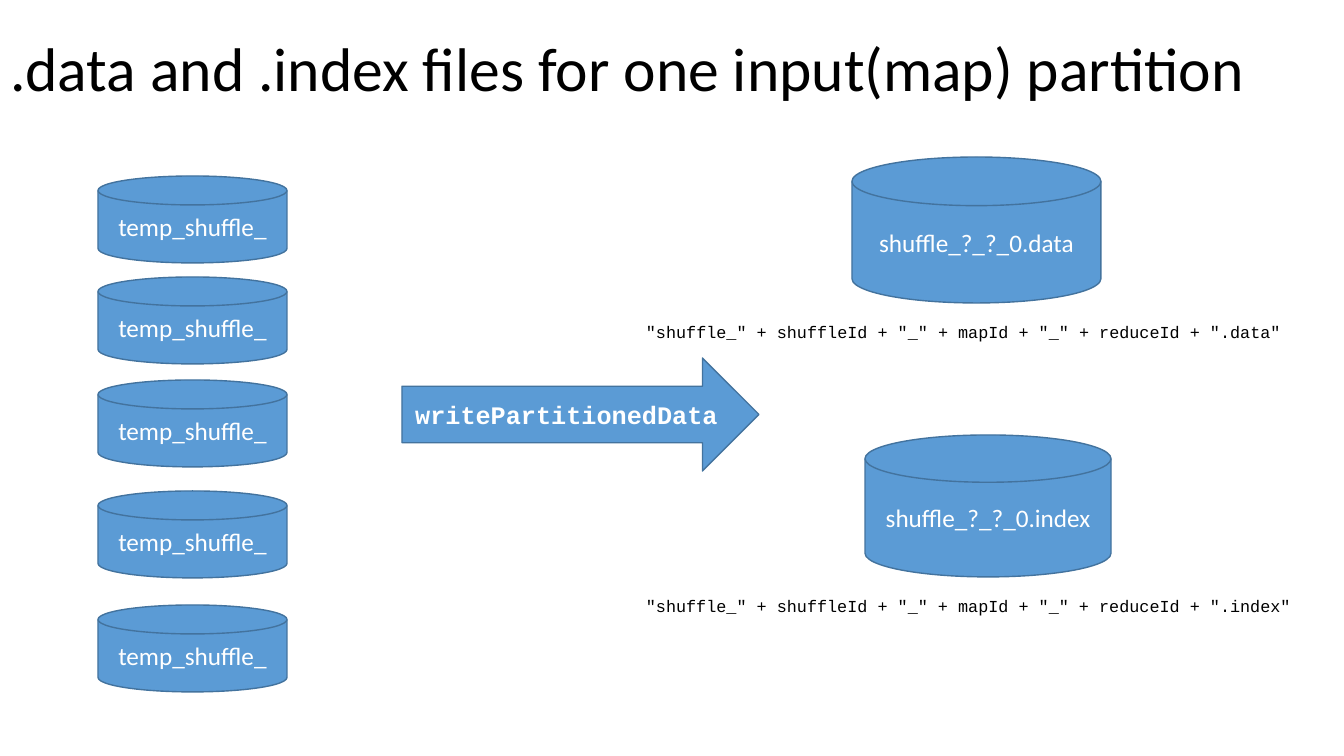
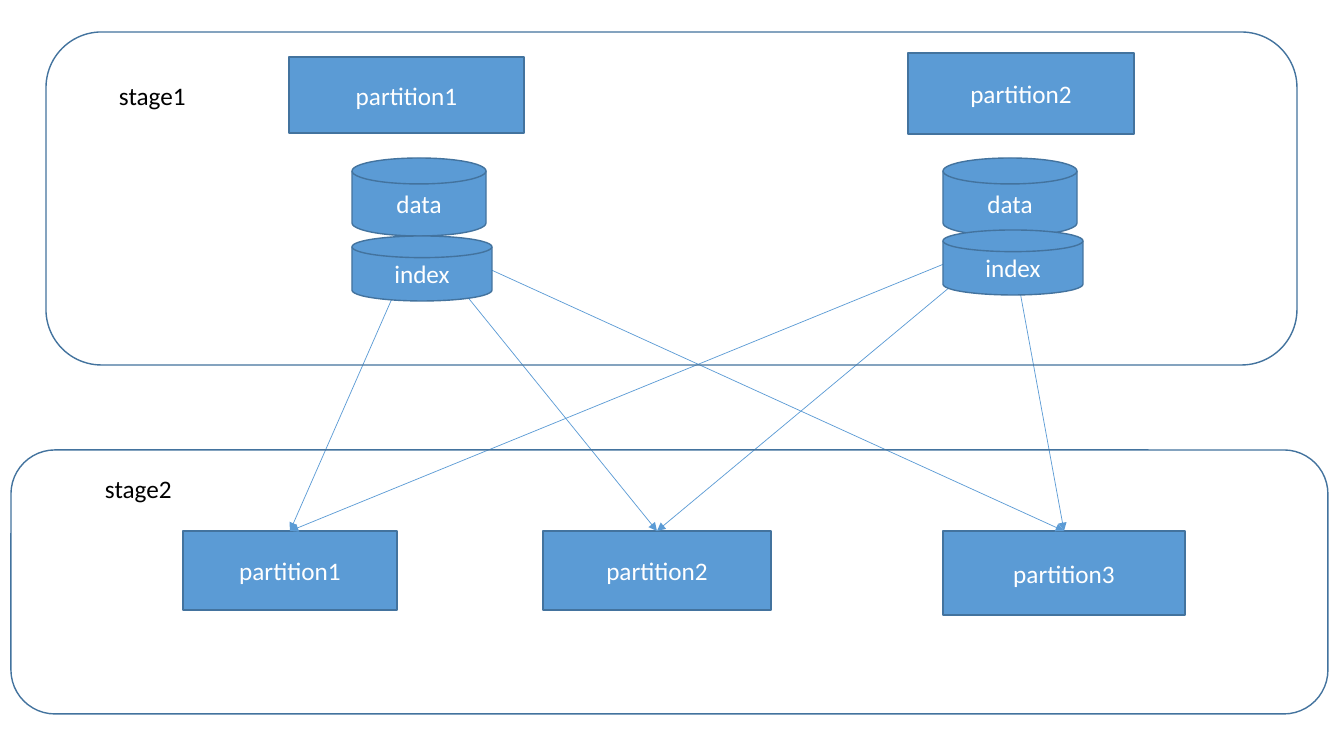
from dataclasses import dataclass
from typing import Optional

from lxml import etree
from pptx import Presentation
from pptx import util as u
from pptx.dml.color import RGBColor
from pptx.enum import shapes, text
from pptx.oxml.ns import qn

# Shared scale, colours and formats
EMU_PER_PIXEL = 914400 / 100.8
BLUE, EDGE, WHITE, BLACK = "5B9BD5", "43739E", "FFFFFF", "000000"
BODY, CODE = "Calibri", "Courier New"
TITLE_FONT = {"name": BODY, "size": u.Pt(44), "bold": False}
LABEL_FONT = {"name": BODY, "size": u.Pt(18)}
CALL_FONT = {"name": CODE, "size": u.Pt(18), "bold": True}
CODE_FONT = {"name": CODE, "size": u.Pt(12)}

Kind = shapes.MSO_SHAPE
DISK = Kind.FLOWCHART_MAGNETIC_DISK


@dataclass
class Node:
    kind: Kind
    left: int
    top: int
    width: int
    height: int
    label: str = ""
    fill: Optional[str] = BLUE


@dataclass
class Caption:
    left: int
    top: int
    width: int
    height: int
    words: str
    wrap: bool = True


@dataclass
class Arrow:
    start: tuple[int, int]
    end: tuple[int, int]


def px(pixels: int) -> u.Emu:
    return u.Emu(round(pixels * EMU_PER_PIXEL))


def colour(value: str) -> RGBColor:
    return RGBColor.from_string(value)


def apply(target, values: dict) -> None:
    for name, value in values.items():
        setattr(target, name, value)


def write(shape, words: str, font: dict, ink: str, align, anchor, wrap=True) -> None:
    frame = shape.text_frame
    apply(frame, {"word_wrap": wrap, "vertical_anchor": anchor})
    paragraph = frame.paragraphs[0]
    paragraph.alignment = align
    run = paragraph.add_run()
    run.text = words
    apply(run.font, font)
    run.font.color.rgb = colour(ink)


def draw_title(slide, words: str) -> None:
    title = slide.shapes.title
    apply(title, {"left": px(0), "top": px(-1), "width": px(1344), "height": px(146)})
    write(title, words, TITLE_FONT, BLACK, text.PP_ALIGN.LEFT, text.MSO_ANCHOR.MIDDLE)
    title.text_frame.auto_size = text.MSO_AUTO_SIZE.NONE
    title.text_frame.paragraphs[0].line_spacing = 0.9


def draw_node(slide, node: Node, font: dict = LABEL_FONT) -> None:
    box = map(px, (node.left, node.top, node.width, node.height))
    shape = slide.shapes.add_shape(node.kind, *box)
    shape.shadow.inherit = False
    if node.fill:
        shape.fill.solid()
        shape.fill.fore_color.rgb = colour(node.fill)
    else:
        shape.fill.background()
    shape.line.color.rgb = colour(EDGE)
    shape.line.width = u.Pt(1)
    if node.label:
        write(shape, node.label, font, WHITE,
              text.PP_ALIGN.CENTER, text.MSO_ANCHOR.MIDDLE)


def draw_caption(slide, caption: Caption, font: dict, anchor) -> None:
    box = map(px, (caption.left, caption.top, caption.width, caption.height))
    shape = slide.shapes.add_textbox(*box)
    write(shape, caption.words, font, BLACK, text.PP_ALIGN.LEFT, anchor, caption.wrap)


def draw_arrow(slide, arrow: Arrow) -> None:
    ends = map(px, (*arrow.start, *arrow.end))
    connector = slide.shapes.add_connector(shapes.MSO_CONNECTOR.STRAIGHT, *ends)
    connector.line.color.rgb = colour(BLUE)
    connector.line.width = u.Pt(0.5)
    line = connector.line._get_or_add_ln()
    etree.SubElement(line, qn("a:tailEnd"), type="triangle")
    etree.SubElement(connector._element.spPr, qn("a:effectLst"))


def build_files_slide(presentation) -> None:
    slide = presentation.slides.add_slide(presentation.slide_layouts[5])
    draw_title(slide, ".data and .index files for one input(map) partition")

    # Temporary files on the left, merged files on the right
    for top in (176, 277, 380, 491, 605):
        draw_node(slide, Node(DISK, 98, top, 189, 87, "temp_shuffle_"))
    draw_node(slide, Node(DISK, 852, 157, 249, 146, "shuffle_?_?_0.data"))
    draw_node(slide, Node(DISK, 865, 435, 246, 142, "shuffle_?_?_0.index"))
    draw_node(slide, Node(Kind.RIGHT_ARROW, 402, 358, 357, 113,
                          "writePartitionedData"), CALL_FONT)

    # File name patterns
    for top, width, suffix in ((316, 667, ".data"), (590, 694, ".index")):
        pattern = f'"shuffle_" + shuffleId + "_" + mapId + "_" + reduceId + "{suffix}"'
        draw_caption(slide, Caption(636, top, width, 31, pattern),
                     CODE_FONT, text.MSO_ANCHOR.MIDDLE)


def build_stages_slide(presentation) -> None:
    slide = presentation.slides.add_slide(presentation.slide_layouts[6])

    # Partitions of both stages
    inputs = [
        Node(Kind.RECTANGLE, 289, 57, 235, 76, "partition1"),
        Node(Kind.RECTANGLE, 908, 53, 226, 81, "partition2"),
    ]
    outputs = [
        Node(Kind.RECTANGLE, 183, 531, 214, 79, "partition1"),
        Node(Kind.RECTANGLE, 543, 531, 228, 79, "partition2"),
        Node(Kind.RECTANGLE, 943, 531, 242, 84, "partition3"),
    ]
    for node in inputs + outputs:
        draw_node(slide, node)

    # Every input feeds the top centre of every output
    for output in outputs:
        for source in ((419, 237), (1010, 237)):
            target = (output.left + output.width // 2, output.top)
            draw_arrow(slide, Arrow(source, target))

    # Stage frames
    draw_node(slide, Node(Kind.ROUNDED_RECTANGLE, 46, 32, 1251, 333, fill=None))
    draw_node(slide, Node(Kind.ROUNDED_RECTANGLE, 11, 450, 1317, 264, fill=None))

    # Data and index files, covering the arrow starts
    for left, index_top in ((352, 236), (943, 230)):
        draw_node(slide, Node(DISK, left, 158, 134, 78, "data"))
        draw_node(slide, Node(DISK, left, index_top, 140, 65, "index"))

    # Stage names
    for left, top, name in ((109, 75, "stage1"), (95, 468, "stage2")):
        draw_caption(slide, Caption(left, top, 88, 40, name, wrap=False),
                     LABEL_FONT, text.MSO_ANCHOR.TOP)


def main() -> None:
    presentation = Presentation()
    presentation.slide_width = px(1344)
    presentation.slide_height = px(756)
    build_files_slide(presentation)
    build_stages_slide(presentation)
    presentation.save("out.pptx")


main()
